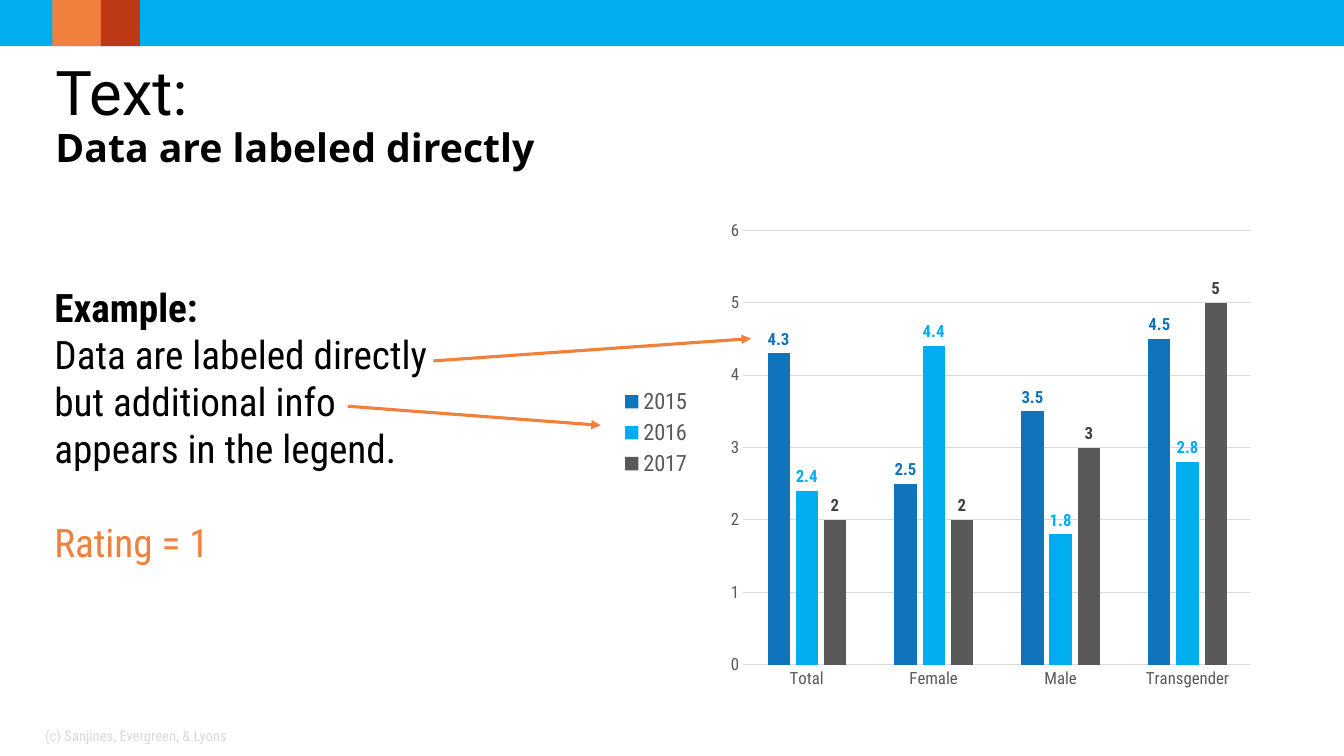
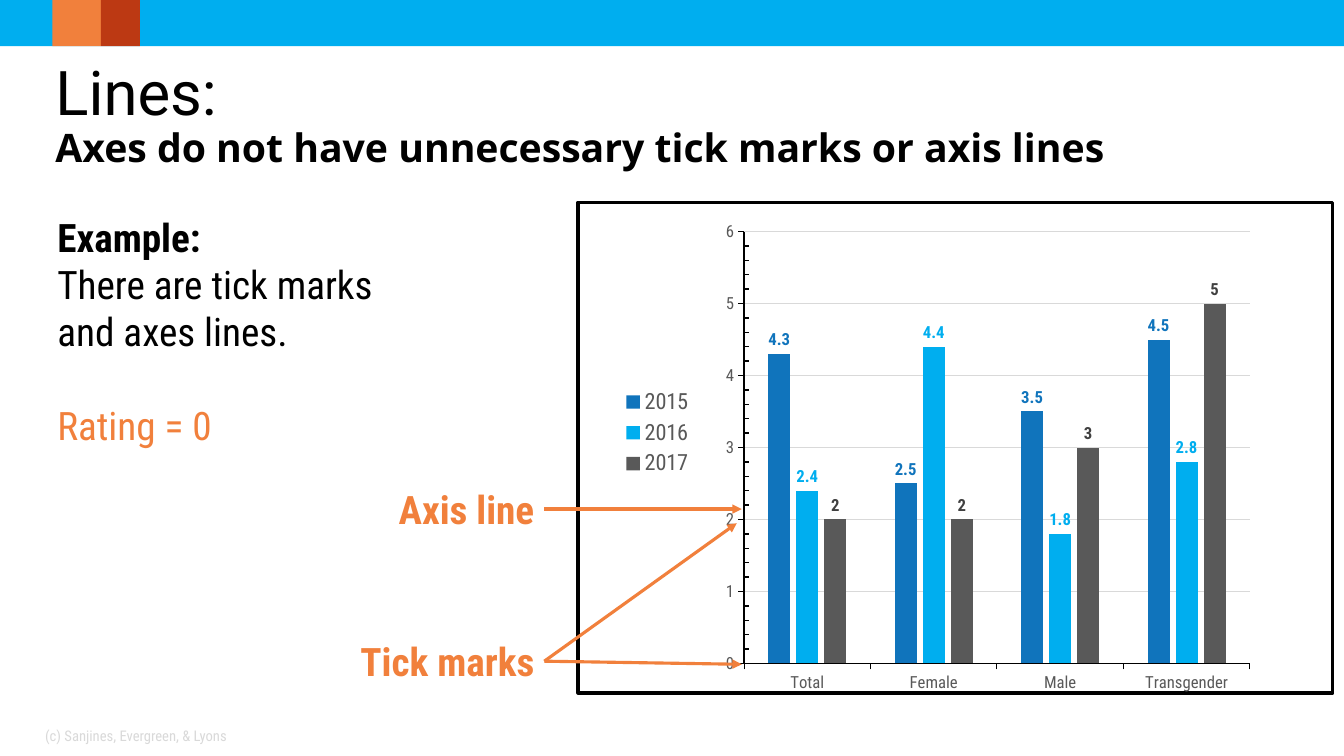
from dataclasses import dataclass

from pptx import Presentation
from pptx.chart.data import CategoryChartData
from pptx.dml.color import RGBColor
from pptx.enum.chart import (XL_CHART_TYPE as ChartType, XL_LABEL_POSITION as LabelPosition,
                             XL_LEGEND_POSITION as LegendPosition, XL_TICK_MARK as TickMark)
from pptx.enum.shapes import MSO_CONNECTOR as Connector, MSO_SHAPE as Preset
from pptx.enum.text import MSO_ANCHOR as Anchor, MSO_AUTO_SIZE as AutoSize, PP_ALIGN as Align
from pptx.oxml import parse_xml
from pptx.oxml.ns import nsdecls, qn
from pptx.oxml.xmlchemy import OxmlElement
from pptx.util import Pt


# Theme: colours and text formats
@dataclass(frozen=True)
class Theme:
    blue: str = "00AEEF"
    dark_blue: str = "1074BC"
    orange: str = "F1803C"
    red: str = "BC3913"
    black: str = "000000"
    charcoal: str = "404040"
    gray: str = "595959"
    light_gray: str = "D9D9D9"
    condensed: str = "Roboto Condensed"
    line_width: float = 2.25

    def text(self, size, color, name=None, bold=False):
        return {"size": Pt(size), "name": name or self.condensed, "bold": bold, "color": color}


THEME = Theme()
TITLE = THEME.text(44, THEME.black, "Roboto")
SUBTITLE = THEME.text(28, THEME.black, "Open Sans", True)
BODY = THEME.text(28, THEME.black)
BODY_BOLD = {**BODY, "bold": True}
RATING = {**BODY, "color": THEME.orange}
CALLOUT = {**RATING, "bold": True}
FOOTER = THEME.text(10.5, THEME.light_gray)
AXIS = THEME.text(12, THEME.gray)
LEGEND = THEME.text(16, THEME.gray)

# Shared content
FOOTER_TEXT = "(c) Sanjines, Evergreen, & Lyons"
CATEGORIES = ("Total", "Female", "Male", "Transgender")
SERIES = (  # name, values, bar colour, label colour
    ("2015", (4.3, 2.5, 3.5, 4.5), THEME.dark_blue, THEME.dark_blue),
    ("2016", (2.4, 4.4, 1.8, 2.8), THEME.blue, THEME.blue),
    ("2017", (2, 2, 3, 5), THEME.gray, THEME.charcoal),
)
BANDS = (  # left, width, colour
    (0, 960, THEME.blue),
    (37.4, 34.6, THEME.orange),
    (72, 28, THEME.red),
)
BAND_HEIGHT = 33
TITLE_BOX = (39.6, 38.2, 900.7, 90)
FOOTER_BOX = (25.2, 511.2, 224, 28.8)
CHART_BOX = (411.8, 143.3, 541.4, 352.8)
PLOT_LAYOUT = (0.22, 0.06, 0.67, 0.88)
LEGEND_LAYOUT = (0.05, 0.37, 0.11, 0.2)


# Formatting helpers
def set_all(target, values):
    for name, value in values.items():
        setattr(target, name, value)


def place(shape, box):
    set_all(shape, dict(zip(("left", "top", "width", "height"), map(Pt, box))))


def format_font(font, style):
    for name, value in style.items():
        if name == "color":
            font.color.rgb = RGBColor.from_string(value)
        else:
            setattr(font, name, value)


def format_line(line, color, width):
    line.color.rgb = RGBColor.from_string(color)
    line.width = Pt(width)


def add_run(paragraph, text, style):
    run = paragraph.add_run()
    run.text = text
    format_font(run.font, style)


# Slide parts
def prepare_layout(layout):
    for placeholder in list(layout.placeholders):
        index = placeholder.placeholder_format.idx
        if index == 0:
            place(placeholder, TITLE_BOX)
            set_all(placeholder.text_frame, {
                "margin_left": 0, "margin_right": 0, "auto_size": AutoSize.NONE,
                "vertical_anchor": Anchor.MIDDLE})
        elif index > 1:
            placeholder.element.getparent().remove(placeholder.element)


def add_bands(slide, layout):
    """Build the top bands and move them to the layout."""
    bands = []
    for left, width, color in BANDS:
        band = slide.shapes.add_shape(Preset.RECTANGLE, Pt(left), 0, Pt(width), Pt(BAND_HEIGHT))
        band.shadow.inherit = False
        band.fill.solid()
        band.fill.fore_color.rgb = RGBColor.from_string(color)
        band.line.fill.background()
        bands.append(band)
    for band in bands:
        layout.shapes.element.append(band.element)


def fill_title(slide, title, subtitle):
    paragraph = slide.shapes.title.text_frame.paragraphs[0]
    set_all(paragraph, {"alignment": Align.LEFT, "line_spacing": 0.9})
    add_run(paragraph, title, TITLE)
    paragraph.add_line_break()
    add_run(paragraph, subtitle, SUBTITLE)


def fill_body(slide, box, example, rating):
    body = slide.placeholders[1]
    place(body, box)
    frame = body.text_frame
    set_all(frame, {"auto_size": AutoSize.NONE, "word_wrap": True})
    lines = (("Example:", BODY_BOLD, 0), (example, BODY, 0), (rating, RATING, 33.5))
    for number, (text, style, gap) in enumerate(lines):
        paragraph = frame.add_paragraph() if number else frame.paragraphs[0]
        properties = paragraph._p.get_or_add_pPr()
        properties.set("marL", "0")
        properties.set("indent", "0")
        properties.append(OxmlElement("a:buNone"))
        paragraph.space_before = Pt(gap)
        add_run(paragraph, text, style)


def add_label(slide, box, text, style, alignment=Align.LEFT, anchor=Anchor.TOP):
    label = slide.shapes.add_textbox(*map(Pt, box))
    set_all(label.text_frame, {"word_wrap": True, "vertical_anchor": anchor})
    paragraph = label.text_frame.paragraphs[0]
    paragraph.alignment = alignment
    add_run(paragraph, text, style)


def add_arrow(slide, start, end):
    arrow = slide.shapes.add_connector(Connector.STRAIGHT, *map(Pt, (*start, *end)))
    format_line(arrow.line, THEME.orange, THEME.line_width)
    head = OxmlElement("a:tailEnd")
    head.set("type", "triangle")
    arrow.get_or_add_ln().append(head)
    arrow.element.spPr.append(OxmlElement("a:effectLst"))


# Chart
def manual_layout(box, inner=False):
    target = '<c:layoutTarget val="inner"/>' if inner else ""
    modes = "".join(f'<c:{axis}Mode val="edge"/>' for axis in "xy")
    sizes = "".join(f'<c:{name} val="{value}"/>' for name, value in zip("xywh", box))
    return parse_xml(f'<c:layout {nsdecls("c")}><c:manualLayout>{target}{modes}{sizes}'
                     "</c:manualLayout></c:layout>")


def set_layout(parent, layout, after=None):
    for old in parent.findall(qn("c:layout")):
        parent.remove(old)
    if after is None:
        parent.insert(0, layout)
    else:
        parent.find(qn(after)).addnext(layout)


def add_chart_border(chart):
    width = Pt(THEME.line_width)
    border = parse_xml(
        f'<c:spPr {nsdecls("c", "a")}><a:noFill/><a:ln w="{width}"><a:solidFill>'
        f'<a:srgbClr val="{THEME.black}"/></a:solidFill></a:ln></c:spPr>')
    chart.element.find(qn("c:chart")).addnext(border)


def format_axes(chart, show_ticks):
    category_axis, value_axis = chart.category_axis, chart.value_axis
    major_tick = TickMark.OUTSIDE if show_ticks else TickMark.NONE
    for axis in (category_axis, value_axis):
        set_all(axis, {"major_tick_mark": major_tick, "minor_tick_mark": TickMark.NONE})
        format_font(axis.tick_labels.font, AXIS)
    set_all(value_axis, {"minimum_scale": 0, "maximum_scale": 6, "major_unit": 1,
                         "has_major_gridlines": True})
    format_line(value_axis.major_gridlines.format.line, THEME.light_gray, 0.75)
    format_line(category_axis.format.line, THEME.black if show_ticks else THEME.light_gray, 0.75)
    if show_ticks:
        set_all(value_axis, {"minor_tick_mark": TickMark.INSIDE, "minor_unit": 0.2})
        format_line(value_axis.format.line, THEME.black, 1)
    else:
        value_axis.format.line.fill.background()


def add_column_chart(slide, show_ticks=False):
    data = CategoryChartData()
    data.categories = CATEGORIES
    for name, values, *_ in SERIES:
        data.add_series(name, values)
    chart = slide.shapes.add_chart(
        ChartType.COLUMN_CLUSTERED, *map(Pt, CHART_BOX), data).chart
    set_all(chart, {"has_title": False, "has_legend": True})
    format_font(chart.font, THEME.text(10, THEME.black))

    plot = chart.plots[0]
    set_all(plot, {"gap_width": 219, "overlap": -27, "vary_by_categories": False})
    for series, (*_, bar_color, label_color) in zip(plot.series, SERIES):
        series.format.fill.solid()
        series.format.fill.fore_color.rgb = RGBColor.from_string(bar_color)
        labels = series.data_labels
        set_all(labels, {"show_value": True, "position": LabelPosition.OUTSIDE_END})
        format_font(labels.font, THEME.text(12, label_color, bold=True))

    format_axes(chart, show_ticks)
    set_all(chart.legend, {"position": LegendPosition.RIGHT, "include_in_layout": False})
    format_font(chart.legend.font, LEGEND)
    chart_element = chart.element.find(qn("c:chart"))
    set_layout(chart_element.find(qn("c:plotArea")), manual_layout(PLOT_LAYOUT, True))
    set_layout(chart_element.find(qn("c:legend")), manual_layout(LEGEND_LAYOUT), "c:legendPos")
    if show_ticks:
        add_chart_border(chart)


def add_content_slide(presentation, layout, title, subtitle, body):
    slide = presentation.slides.add_slide(layout)
    fill_title(slide, title, subtitle)
    fill_body(slide, *body)
    add_label(slide, FOOTER_BOX, FOOTER_TEXT, FOOTER, anchor=Anchor.MIDDLE)
    return slide


def main():
    presentation = Presentation()
    set_all(presentation, {"slide_width": Pt(960), "slide_height": Pt(540)})
    layout = presentation.slide_layouts[1]
    prepare_layout(layout)

    # Direct labels
    slide = add_content_slide(
        presentation, layout, "Text:", "Data are labeled directly",
        ((31.7, 198.7, 288, 211),
         "Data are labeled directly but additional info appears in the legend.", "Rating = 1"))
    add_bands(slide, layout)
    add_column_chart(slide)
    add_arrow(slide, (309.6, 257.8), (536.4, 241.9))
    add_arrow(slide, (248.4, 290.2), (429.1, 303.8))

    # Axis lines and tick marks
    slide = add_content_slide(
        presentation, layout, "Lines:", "Axes do not have unnecessary tick marks or axis lines",
        ((33.8, 149, 247, 177), "There are tick marks and axes lines.", "Rating = 0"))
    add_column_chart(slide, show_ticks=True)
    for text, top in (("Axis line", 343.4), ("Tick marks", 451.4)):
        add_label(slide, (67.7, top, 321, 41), text, CALLOUT, Align.RIGHT)
    axis_start, tick_start = (388.8, 363.6), (388.8, 472.3)
    add_arrow(slide, axis_start, (529.9, 363.6))
    for end in ((529.9, 474.5), (526.3, 373.7)):
        add_arrow(slide, tick_start, end)

    presentation.save("out.pptx")


if __name__ == "__main__":
    main()
